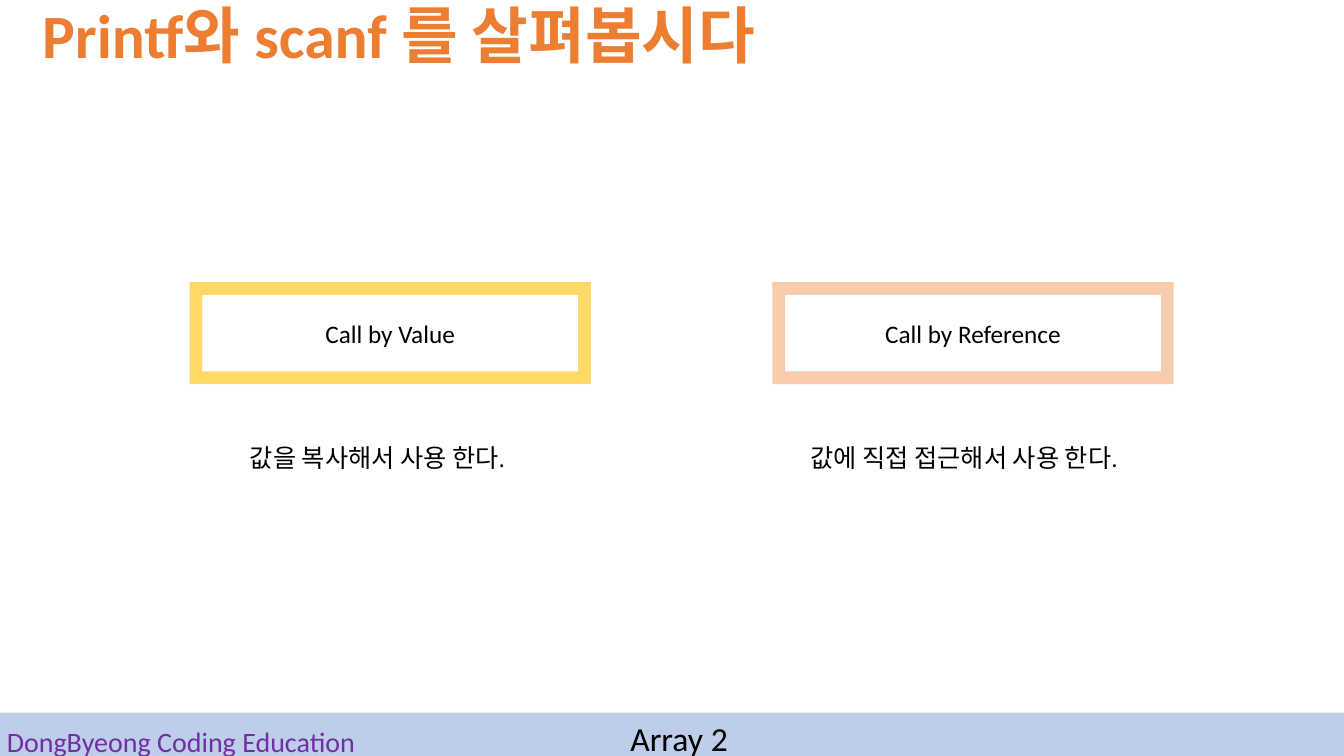
from pptx import Presentation, util as u
from pptx.dml.color import RGBColor
from pptx.enum import shapes, text
from pptx.oxml.ns import qn
from lxml import etree

WIDE, HIGH = 13.33, 7.5
FONT = "Calibri"
HUES = {
    "bar": "4472C4",
    "head": "ED7D31",
    "brand": "7030A0",
    "ink": "000000",
    "value": "FFD966",
    "refer": "F8CBAD",
}
TOP, LOW = text.MSO_ANCHOR.TOP, text.MSO_ANCHOR.BOTTOM
MID = text.MSO_ANCHOR.MIDDLE
LEFT, CENTER = text.PP_ALIGN.LEFT, text.PP_ALIGN.CENTER
CARDS = [
    (1.88, "value", "Call by Value", 2.38, 2.96, "값을 복사해서 사용 한다."),
    (7.66, "refer", "Call by Reference", 7.94, 3.53, "값에 직접 접근해서 사용 한다."),
]


def hue(name):
    return RGBColor.from_string(HUES[name])


def place(shape, box):
    shape.left, shape.top, shape.width, shape.height = map(u.Inches, box)


def write(shape, words, size, color="ink", align=CENTER, anchor=TOP,
          line=1.0, bold=False, wrap=True):
    frame = shape.text_frame
    frame.text = words
    frame.auto_size = text.MSO_AUTO_SIZE.NONE
    frame.word_wrap = wrap
    frame.vertical_anchor = anchor
    para = frame.paragraphs[0]
    para.alignment = align
    para.line_spacing = line
    para.space_before = u.Pt(0)
    font = para.font
    font.name, font.size, font.bold = FONT, u.Pt(size), bold
    font.color.rgb = hue(color)


def block(slide, kind, box, color, alpha=None):
    shape = slide.shapes.add_shape(kind, *map(u.Inches, box))
    shape.shadow.inherit = False
    shape.fill.solid()
    shape.fill.fore_color.rgb = hue(color)
    shape.line.fill.background()
    if alpha:
        tint = shape.fill._xPr.find(".//" + qn("a:srgbClr"))
        etree.SubElement(tint, qn("a:alpha"), val=str(alpha * 1000))
    return shape


def label(slide, box, words, size, **style):
    shape = slide.shapes.add_textbox(*map(u.Inches, box))
    write(shape, words, size, **style)
    return shape


def card(slide, left, color, name, start, width, note):
    shape = block(slide, shapes.MSO_SHAPE.FRAME, (left, 2.8, 3.98, 1.01), color)
    write(shape, name, 18, anchor=MID)
    label(slide, (start, 4.34, width, 0.4), note, 18, align=LEFT, wrap=False)


def footer(slide):
    bar = block(slide, shapes.MSO_SHAPE.RECTANGLE,
                (0, 7.07, WIDE, HIGH - 7.07), "bar", alpha=35)
    slide.shapes._spTree.insert(2, bar._element)
    label(slide, (-0.36, 7.07, 4.31, 0.5), "DongByeong Coding Education", 20,
          color="brand", anchor=LOW, line=0.9)
    topic = slide.placeholders[1]
    place(topic, (5.19, 7.12, 3.09, 0.51))
    write(topic, "Array 2", 24, line=0.9)


def main():
    deck = Presentation()
    deck.slide_width, deck.slide_height = u.Inches(WIDE), u.Inches(HIGH)
    slide = deck.slides.add_slide(deck.slide_layouts[0])
    title = slide.shapes.title
    place(title, (-0.03, 0, 7.97, 0.85))
    write(title, "Printf와 scanf 를 살펴봅시다", 44, "head", line=0.9, bold=True)
    footer(slide)
    for item in CARDS:
        card(slide, *item)
    deck.save("out.pptx")


main()
